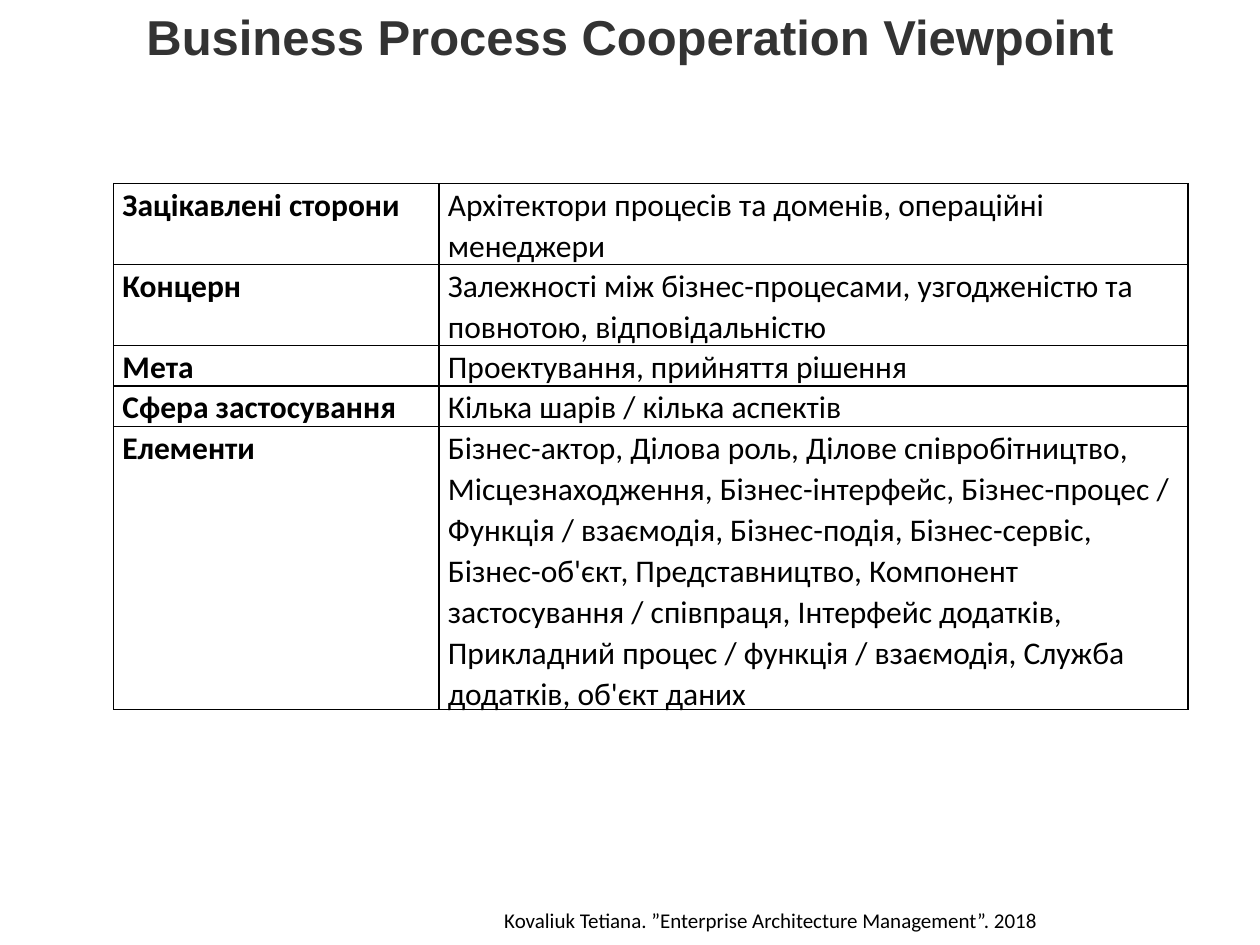
from lxml import etree
from pptx import Presentation
from pptx.dml.color import RGBColor
from pptx.enum.text import MSO_ANCHOR, PP_ALIGN
from pptx.oxml.ns import qn
from pptx.util import Pt

CENTER = PP_ALIGN.CENTER
TOP = MSO_ANCHOR.TOP
TITLE_ONLY = 5

COLORS = {"title": "333333", "text": "000000", "border": "000000"}

COLUMN_WIDTHS = (186, 428)
# (label, description, row height)
ROWS = [
    ("Зацікавлені сторони", "Архітектори процесів та доменів, операційні менеджери", 46),
    ("Концерн", "Залежності між бізнес-процесами, узгодженістю та повнотою, "
     "відповідальністю", 46),
    ("Мета", "Проектування, прийняття рішення", 23),
    ("Сфера застосування", "Кілька шарів / кілька аспектів", 23),
    ("Елементи", "Бізнес-актор, Ділова роль, Ділове співробітництво, "
     "Місцезнаходження, Бізнес-інтерфейс, Бізнес-процес / Функція / взаємодія, "
     "Бізнес-подія, Бізнес-сервіс, Бізнес-об'єкт, Представництво, "
     "Компонент застосування / співпраця, Інтерфейс додатків, "
     "Прикладний процес / функція / взаємодія, Служба додатків, об'єкт даних", 161),
]


def write(tf, text, size=18, font="Calibri", color="text", bold=False,
          align=None, spacing=None):
    tf.word_wrap = True
    p = tf.paragraphs[0]
    p.alignment = align
    p.line_spacing = spacing
    r = p.add_run()
    r.text = text
    r.font.size = Pt(size)
    r.font.name = font
    r.font.bold = bold
    r.font.color.rgb = RGBColor.from_string(COLORS[color])


def add_title(s, text):
    title = s.shapes.title
    title.left, title.top, title.width, title.height = Pt(0), Pt(0), Pt(720), Pt(41)
    title.text_frame.vertical_anchor = TOP
    write(title.text_frame, text, size=28, font="Arial", color="title",
          bold=True, align=CENTER)


def set_borders(cell, width=1):
    tcPr = cell._tc.get_or_add_tcPr()
    for i, side in enumerate(("lnL", "lnR", "lnT", "lnB")):
        ln = etree.Element(qn(f"a:{side}"), w=str(Pt(width)))
        fill = etree.SubElement(ln, qn("a:solidFill"))
        etree.SubElement(fill, qn("a:srgbClr"), val=COLORS["border"])
        tcPr.insert(i, ln)  # borders come before the cell fill


def format_cell(cell, text, bold):
    cell.margin_left = cell.margin_right = Pt(5)
    cell.margin_top = cell.margin_bottom = Pt(0)
    cell.fill.background()
    set_borders(cell)
    write(cell.text_frame, text, bold=bold, spacing=1.07)


def add_viewpoint_table(s, left, top):
    height = sum(row[2] for row in ROWS)
    table = s.shapes.add_table(len(ROWS), len(COLUMN_WIDTHS), Pt(left), Pt(top),
                               Pt(sum(COLUMN_WIDTHS)), Pt(height)).table
    table.first_row = table.horz_banding = False
    for column, width in zip(table.columns, COLUMN_WIDTHS):
        column.width = Pt(width)
    for row, (label, description, row_height) in zip(table.rows, ROWS):
        row.height = Pt(row_height)
        format_cell(row.cells[0], label, bold=True)
        format_cell(row.cells[1], description, bold=False)


def add_footer(s, text):
    box = s.shapes.add_textbox(Pt(161), Pt(515), Pt(559), Pt(22))
    write(box.text_frame, text, size=12, align=CENTER)


def main():
    prs = Presentation()
    prs.slide_width, prs.slide_height = Pt(720), Pt(540)
    s = prs.slides.add_slide(prs.slide_layouts[TITLE_ONLY])
    add_footer(s, "Kovaliuk Tetiana. ”Enterprise Architecture Management”. 2018")
    add_viewpoint_table(s, left=65, top=105)
    add_title(s, "Business Process Cooperation Viewpoint")
    prs.save("out.pptx")


if __name__ == "__main__":
    main()
